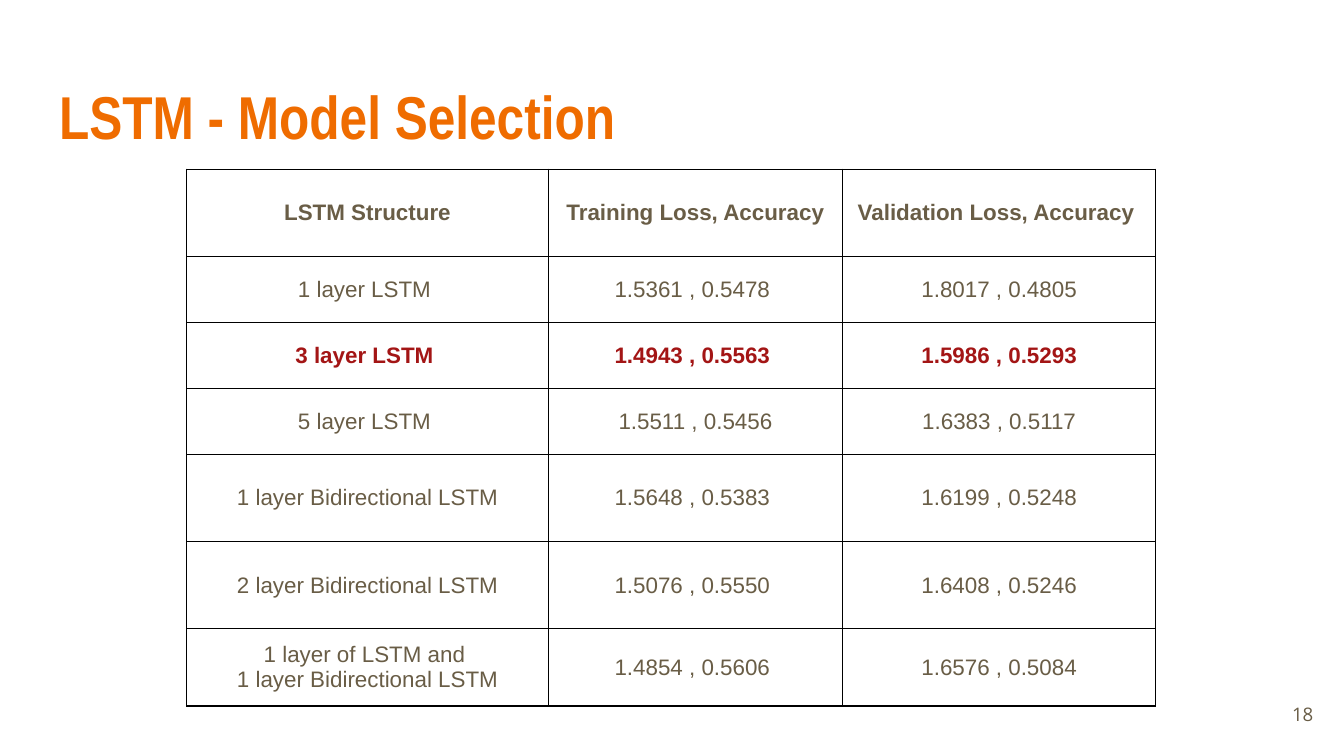
from lxml.etree import SubElement
from pptx import Presentation
from pptx.dml.color import RGBColor as RGB
from pptx.enum.text import MSO_ANCHOR as Anchor, PP_ALIGN as Align
from pptx.oxml.ns import qn
from pptx.util import Inches, Pt

COLORS = {"title": "EF6C00", "text": "695D46", "best": "A31515", "line": "000000"}
INSET = Inches(0.1)
COLS = [2.69, 2.19, 2.33]
HEIGHTS = [0.65, 0.49, 0.49, 0.49, 0.65, 0.65, 0.56]
BEST = 2
ROWS = [
    ("LSTM Structure", "Training Loss, Accuracy", "Validation Loss, Accuracy "),
    ("1 layer LSTM ", "1.5361 , 0.5478 ", "1.8017 , 0.4805"),
    ("3 layer LSTM ", "1.4943 , 0.5563 ", "1.5986 , 0.5293"),
    ("5 layer LSTM ", "1.5511 , 0.5456", "1.6383 , 0.5117"),
    ("1 layer Bidirectional LSTM", "1.5648 , 0.5383 ", "1.6199 , 0.5248"),
    ("2 layer Bidirectional LSTM", "1.5076 , 0.5550 ", "1.6408 , 0.5246"),
    ("1 layer of LSTM and \n1 layer Bidirectional LSTM", "1.4854 , 0.5606 ", "1.6576 , 0.5084"),
]


def style(frame, font, size, color, align, bold=False):
    """Format every run in a text frame."""
    for para in frame.paragraphs:
        para.alignment = align
        for run in para.runs:
            run.font.name = font
            run.font.size = Pt(size)
            run.font.bold = bold
            run.font.color.rgb = RGB.from_string(COLORS[color])


def pad(item, anchor=Anchor.MIDDLE):
    """Anchor text vertically with equal margins."""
    item.vertical_anchor = anchor
    item.margin_left = item.margin_right = INSET
    item.margin_top = item.margin_bottom = INSET


def border(cell):
    """Draw a thin line on each side of a cell."""
    props = cell._tc.get_or_add_tcPr()
    for side in ("lnL", "lnR", "lnT", "lnB"):
        line = SubElement(props, qn(f"a:{side}"), w=str(Pt(0.75)))
        fill = SubElement(line, qn("a:solidFill"))
        SubElement(fill, qn("a:srgbClr"), val=COLORS["line"])


def add_title(slide, left, top, width, height):
    """Place the slide title."""
    title = slide.shapes.title
    title.left, title.top = Inches(left), Inches(top)
    title.width, title.height = Inches(width), Inches(height)
    frame = title.text_frame
    frame.text = "LSTM - Model Selection"
    frame.word_wrap = True
    pad(frame, Anchor.TOP)
    style(frame, "Arial Narrow", 32.4, "title", Align.LEFT, True)


def add_scores(slide, left, top):
    """Place the table of model scores."""
    table = slide.shapes.add_table(
        len(ROWS), len(COLS), Inches(left), Inches(top),
        Inches(sum(COLS)), Inches(sum(HEIGHTS))).table
    table.first_row = table.horz_banding = False
    for col, width in zip(table.columns, COLS):
        col.width = Inches(width)
    for i, (row, height) in enumerate(zip(table.rows, HEIGHTS)):
        row.height = Inches(height)
        for cell, text in zip(row.cells, ROWS[i]):
            cell.text = text
            pad(cell)
            border(cell)
            cell.fill.background()
            style(cell.text_frame, "Arial", 12, "best" if i == BEST else "text",
                  Align.CENTER, i in (0, BEST))


def add_number(slide, left, top, width, height):
    """Place the slide number."""
    box = slide.shapes.add_textbox(Inches(left), Inches(top), Inches(width), Inches(height))
    frame = box.text_frame
    frame.text = "18"
    frame.word_wrap = True
    pad(frame)
    style(frame, "Open Sans", 10, "text", Align.RIGHT)


def main():
    """Build and save the slide."""
    deck = Presentation()
    deck.slide_width, deck.slide_height = Inches(10), Inches(10 * 9 / 16)
    slide = deck.slides.add_slide(deck.slide_layouts[5])
    add_title(slide, 0.34, 0.49, 9.32, 0.77)
    add_scores(slide, 1.39, 1.26)
    add_number(slide, 9.27, 5.1, 0.6, 0.43)
    deck.save("out.pptx")


if __name__ == "__main__":
    main()
